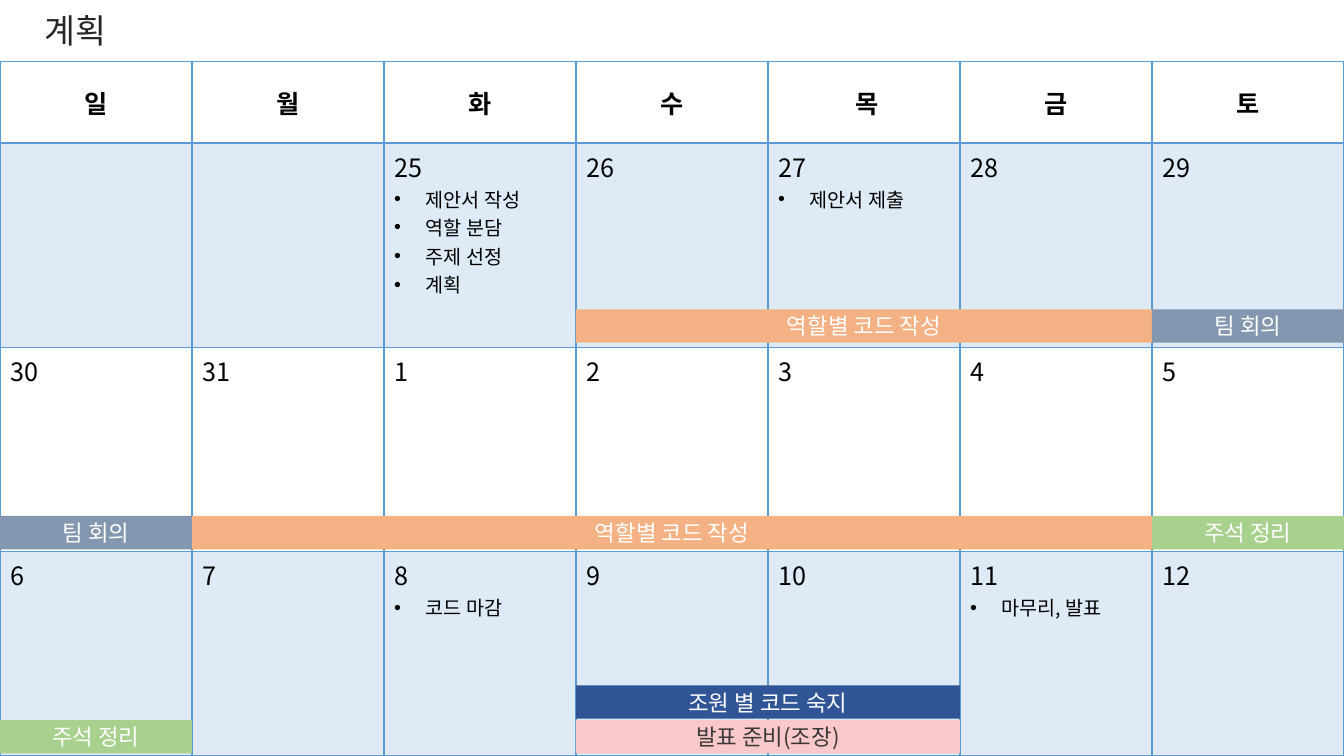
from dataclasses import dataclass

from pptx import Presentation
from pptx.dml.color import RGBColor
from pptx.enum.shapes import MSO_SHAPE
from pptx.enum.text import MSO_ANCHOR, MSO_AUTO_SIZE, PP_ALIGN
from pptx.oxml.xmlchemy import OxmlElement
from pptx.util import Pt


@dataclass(frozen=True)
class Theme:
    font: str = "Noto Sans CJK KR"
    title_size: int = 24
    day_size: int = 18
    bar_size: int = 16
    task_size: int = 14
    title: str = "262626"
    text: str = "000000"
    white: str = "FFFFFF"
    dark: str = "3B3838"
    grid: str = "5B9BD5"
    coding: str = "F4B183"
    meeting: str = "8497B0"
    comments: str = "A9D18E"
    study: str = "2F5597"
    rehearsal: str = "F8C8CB"


THEME = Theme()
PAGE_WIDTH, PAGE_HEIGHT = 960, 540
COLUMN_WIDTH = PAGE_WIDTH / 7
TABLE_TOP, HEADER_HEIGHT, WEEK_HEIGHT = 44, 58, 146
BAR_HEIGHT = 23.8

WEEKDAYS = ["일", "월", "화", "수", " 목", "금", "토"]
WEEKS = [
    ["", "", "25", "26", "27", "28", "29"],
    ["30", "31", "1", "2", "3", "4", "5"],
    ["6", "7", "8", "9", "10", "11", "12"],
]
TASKS = {
    "25": ["제안서 작성", "역할 분담", "주제 선정", "계획"],
    "27": ["제안서 제출"],
    "8": ["코드 마감"],
    "11": ["마무리, 발표"],
}
# Text, first column, number of days, top, fill, text colour
BARS = [
    ("조원 별 코드 숙지", 3, 2, 489.6, THEME.study, THEME.white),
    ("발표 준비(조장)", 3, 2, 514.4, THEME.rehearsal, THEME.dark),
    ("주석 정리", 6, 1, 368.6, THEME.comments, THEME.white),
    ("주석 정리", 0, 1, 514.4, THEME.comments, THEME.white),
    ("역할별 코드 작성", 1, 5, 368.6, THEME.coding, THEME.white),
    ("역할별 코드 작성", 3, 3, 221, THEME.coding, THEME.white),
    ("팀 회의", 6, 1, 221, THEME.meeting, THEME.white),
    ("팀 회의", 0, 1, 368.6, THEME.meeting, THEME.white),
]


def write(para, text, size, color=THEME.text, bold=False, align=PP_ALIGN.LEFT):
    para.text = text
    para.alignment = align
    font = para.font
    font.size, font.bold, font.name = Pt(size), bold, THEME.font
    font.color.rgb = RGBColor.from_string(color)
    # Hangul takes the East Asian typeface
    east_asian = OxmlElement("a:ea")
    east_asian.set("typeface", THEME.font)
    font._element.append(east_asian)


def add_bullet(para):
    properties = para._p.get_or_add_pPr()
    properties.set("marL", str(Pt(22.5)))
    properties.set("indent", str(Pt(-22.5)))
    bullet_font = OxmlElement("a:buFont")
    bullet_font.set("typeface", "Arial")
    bullet = OxmlElement("a:buChar")
    bullet.set("char", "•")
    properties.insert(0, bullet_font)
    bullet_font.addnext(bullet)


def set_borders(cell, top=1, bottom=1):
    properties = cell._tc.get_or_add_tcPr()
    widths = {"a:lnL": 1, "a:lnR": 1, "a:lnT": top, "a:lnB": bottom}
    for position, (tag, width) in enumerate(widths.items()):
        line = OxmlElement(tag)
        line.set("w", str(Pt(width)))
        fill = OxmlElement("a:solidFill")
        color = OxmlElement("a:srgbClr")
        color.set("val", THEME.grid)
        fill.append(color)
        line.append(fill)
        properties.insert(position, line)


def tint(cell):
    cell.fill.solid()
    cell.fill.fore_color.rgb = RGBColor.from_string(THEME.grid)
    alpha = OxmlElement("a:alpha")
    alpha.set("val", "20000")
    cell._tc.tcPr.find(".//{*}srgbClr").append(alpha)


def add_title(page, text):
    title = page.shapes.title
    title.left, title.top, title.width, title.height = Pt(-6), Pt(7), Pt(120), Pt(37.5)
    frame = title.text_frame
    frame.auto_size = MSO_AUTO_SIZE.NONE
    frame.vertical_anchor = MSO_ANCHOR.TOP
    para = frame.paragraphs[0]
    write(para, text, THEME.title_size, THEME.title, align=PP_ALIGN.CENTER)
    para.line_spacing = 0.9


def fill_day(cell, day):
    frame = cell.text_frame
    write(frame.paragraphs[0], day, THEME.day_size)
    for task in TASKS.get(day, []):
        para = frame.add_paragraph()
        write(para, task, THEME.task_size)
        add_bullet(para)


def add_calendar(page):
    frame = page.shapes.add_table(
        len(WEEKS) + 1, len(WEEKDAYS), Pt(0), Pt(TABLE_TOP),
        Pt(PAGE_WIDTH), Pt(PAGE_HEIGHT - TABLE_TOP))
    table = frame.table
    table.first_row = table.horz_banding = False
    for column in table.columns:
        column.width = Pt(COLUMN_WIDTH)
    for number, row in enumerate(table.rows):
        row.height = Pt(WEEK_HEIGHT if number else HEADER_HEIGHT)

    # Weekday names
    for column, name in enumerate(WEEKDAYS):
        cell = table.cell(0, column)
        cell.vertical_anchor = MSO_ANCHOR.MIDDLE
        cell.fill.background()
        write(cell.text_frame.paragraphs[0], name, THEME.day_size,
              bold=True, align=PP_ALIGN.CENTER)
        set_borders(cell, bottom=2)

    # Days, with every other week tinted
    for row, week in enumerate(WEEKS, start=1):
        for column, day in enumerate(week):
            cell = table.cell(row, column)
            if row % 2:
                tint(cell)
            else:
                cell.fill.background()
            fill_day(cell, day)
            set_borders(cell, top=2 if row == 1 else 1)


def add_bar(page, text, column, days, top, fill, color):
    bar = page.shapes.add_shape(
        MSO_SHAPE.RECTANGLE, Pt(column * COLUMN_WIDTH), Pt(top),
        Pt(days * COLUMN_WIDTH), Pt(BAR_HEIGHT))
    bar.shadow.inherit = False
    bar.fill.solid()
    bar.fill.fore_color.rgb = RGBColor.from_string(fill)
    bar.line.fill.background()
    bar.text_frame.vertical_anchor = MSO_ANCHOR.MIDDLE
    write(bar.text_frame.paragraphs[0], text, THEME.bar_size, color,
          align=PP_ALIGN.CENTER)


def main():
    deck = Presentation()
    deck.slide_width, deck.slide_height = Pt(PAGE_WIDTH), Pt(PAGE_HEIGHT)
    page = deck.slides.add_slide(deck.slide_layouts[5])
    add_title(page, "계획")
    add_calendar(page)
    for bar in BARS:
        add_bar(page, *bar)
    deck.save("out.pptx")


if __name__ == "__main__":
    main()
